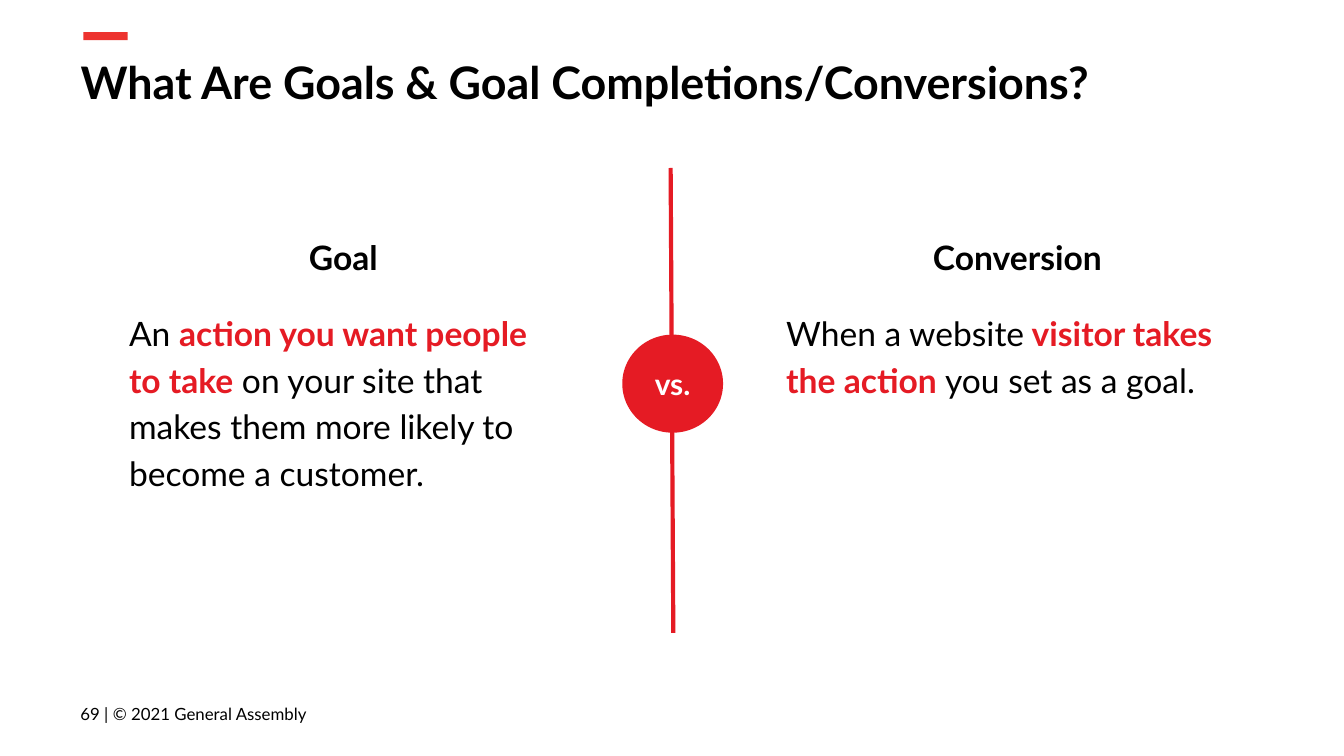
from lxml.etree import SubElement
from pptx import Presentation
from pptx.dml.color import RGBColor
from pptx.enum.shapes import MSO_CONNECTOR as Connector, MSO_SHAPE as Shape
from pptx.enum.text import MSO_ANCHOR as Anchor, MSO_AUTO_SIZE as AutoSize, PP_ALIGN as Align
from pptx.oxml.ns import qn
from pptx.util import Inches, Pt

BLACK, WHITE, RED, ACCENT = "000000", "FFFFFF", "E51B24", "ED332F"


def color(value):
    """Turn a hex string into a colour."""
    return RGBColor.from_string(value)


def place(shape, box):
    """Move a shape to a (left, top, width, height) box in inches."""
    shape.left, shape.top, shape.width, shape.height = map(Inches, box)


def prepare_frame(shape, anchor=Anchor.TOP):
    """Give a shape's text frame even margins, wrapping and an anchor."""
    frame = shape.text_frame
    frame.margin_left = frame.margin_right = Inches(0.1)
    frame.margin_top = frame.margin_bottom = Inches(0.1)
    frame.word_wrap = True
    frame.auto_size = AutoSize.NONE
    frame.vertical_anchor = anchor
    return frame


def style(paragraph, size, fill=BLACK, bold=False, align=Align.LEFT):
    """Set the font and alignment of a paragraph."""
    paragraph.alignment = align
    font = paragraph.font
    font.name, font.size, font.bold = "Lato", Pt(size), bold
    font.color.rgb = color(fill)


def remove_bullet(paragraph):
    """Clear the bullet and indent of a paragraph."""
    properties = paragraph._p.get_or_add_pPr()
    properties.set("marL", "0")
    properties.set("indent", "0")
    SubElement(properties, qn("a:buNone"))


def add_filled_shape(slide, kind, box, fill):
    """Add a flat shape without outline."""
    shape = slide.shapes.add_shape(kind, *map(Inches, box))
    shape.shadow.inherit = False
    shape.fill.solid()
    shape.fill.fore_color.rgb = color(fill)
    shape.line.fill.background()
    return shape


def fill_title(slide, box, text):
    """Place the title with the accent bar above it."""
    left, top = box[:2]
    add_filled_shape(slide, Shape.RECTANGLE, (left + 0.12, top - 0.07, 0.33, 0.06), ACCENT)
    title = slide.shapes.title
    place(title, box)
    paragraph = prepare_frame(title).paragraphs[0]
    paragraph.text = text
    style(paragraph, 24, bold=True)


def fill_column(placeholder, box, heading, parts):
    """Write a heading and a definition of (text, highlighted) parts."""
    place(placeholder, box)
    frame = prepare_frame(placeholder)
    header, body = frame.paragraphs[0], frame.add_paragraph()
    for paragraph in (header, body):
        remove_bullet(paragraph)
        paragraph.line_spacing = 1.15
    header.text = heading
    header.space_before = header.space_after = Pt(0)
    style(header, 18, bold=True, align=Align.CENTER)
    body.space_before = body.space_after = Pt(16)
    style(body, 18)
    for text, highlighted in parts:
        run = body.add_run()
        run.text = text
        if highlighted:
            run.font.bold = True
            run.font.color.rgb = color(RED)


def add_divider(slide, box, label):
    """Draw the dividing line with a labelled circle at its middle."""
    left, top, width, height = box
    middle = left + 0.37
    line = slide.shapes.add_connector(
        Connector.STRAIGHT,
        Inches(middle - 0.01), Inches(top), Inches(middle + 0.01), Inches(top + height))
    line.line.color.rgb = color(RED)
    line.line.width = Pt(2.25)
    SubElement(line._element.spPr, qn("a:effectLst"))
    circle = add_filled_shape(slide, Shape.OVAL, (left, top + 1.24, width, 0.73), RED)
    paragraph = prepare_frame(circle, Anchor.MIDDLE).paragraphs[0]
    paragraph.text = label
    style(paragraph, 16, WHITE, True, Align.CENTER)


def add_footer(slide, box, text):
    """Add the page number and copyright line."""
    footer = slide.shapes.add_textbox(*map(Inches, box))
    paragraph = prepare_frame(footer, Anchor.MIDDLE).paragraphs[0]
    paragraph.text = text
    style(paragraph, 9)


def main():
    """Build the slide and save it."""
    presentation = Presentation()
    presentation.slide_width = Inches(10)
    presentation.slide_height = presentation.slide_width * 9 // 16
    slide = presentation.slides.add_slide(presentation.slide_layouts[3])
    fill_title(slide, (0.5, 0.31, 9.32, 0.63), "What Are Goals & Goal Completions/Conversions?")
    fill_column(slide.placeholders[1], (0.86, 1.62, 3.39, 2.79), "Goal", [
        ("An ", False),
        ("action you want people to take", True),
        (" on your site that makes them more likely to become a customer.", False)])
    fill_column(slide.placeholders[2], (5.75, 1.62, 3.64, 2.79), "Conversion", [
        ("When a website", False),
        (" visitor takes the action ", True),
        ("you set as a goal.", False)])
    add_footer(slide, (0.5, 5.1, 2.59, 0.43), "69 | © 2021 General Assembly")
    add_divider(slide, (4.63, 1.25, 0.75, 3.46), "vs.")
    presentation.save("out.pptx")


if __name__ == "__main__":
    main()
